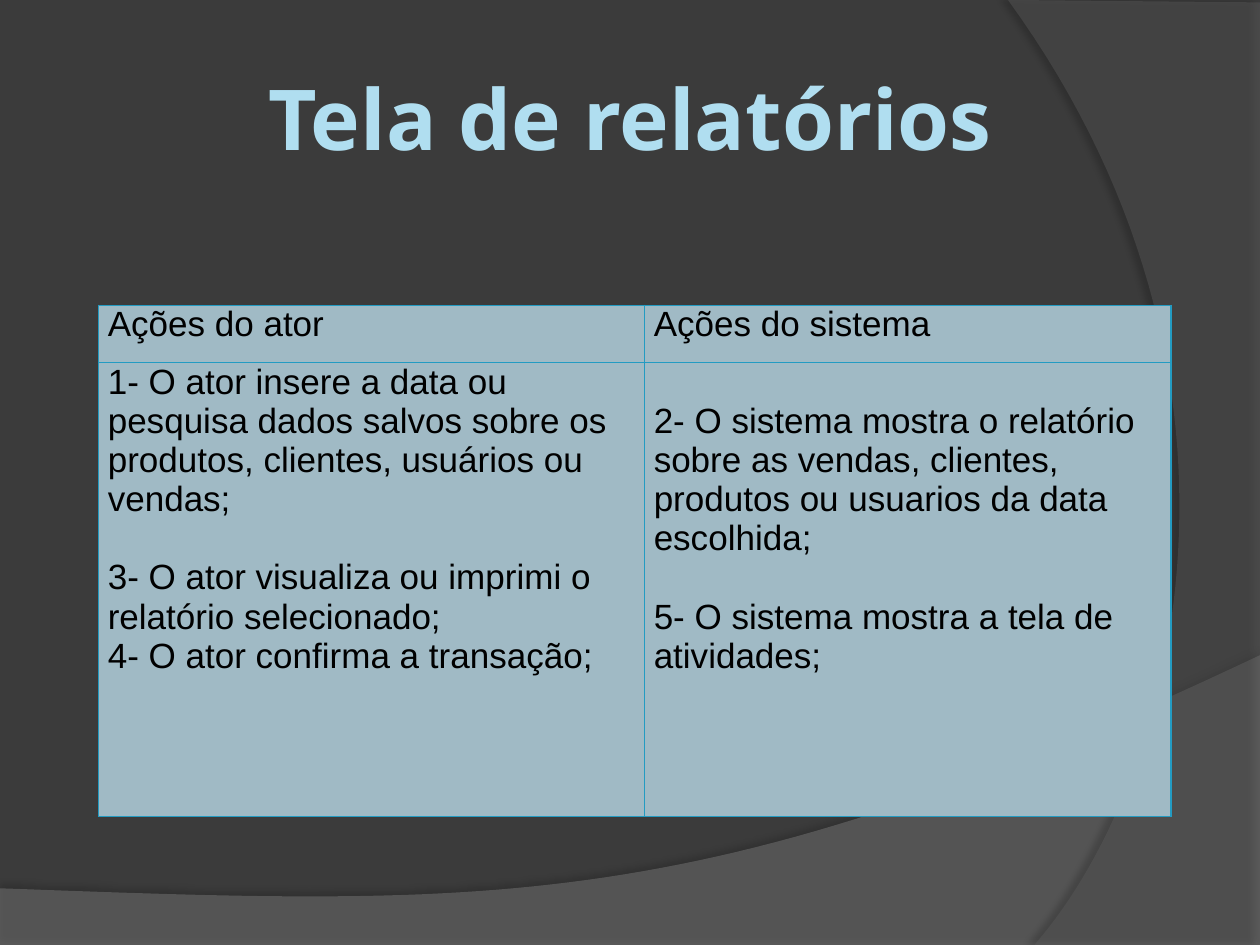
from lxml.etree import SubElement
from pptx import Presentation
from pptx.dml.color import RGBColor
from pptx.enum.text import MSO_ANCHOR, PP_ALIGN
from pptx.oxml.ns import qn
from pptx.util import Pt

# Content
TITLE = "Tela de relatórios"
HEADERS = ["Ações do ator", "Ações do sistema"]
# Each step: (text, follows a gap)
ACTOR_STEPS = [
    ("1- O ator insere a data ou pesquisa dados salvos sobre os produtos, "
     "clientes, usuários ou vendas;", False),
    ("3- O ator visualiza ou imprimi o relatório selecionado;", True),
    ("4- O ator confirma a transação;", False),
]
SYSTEM_STEPS = [
    ("2- O sistema mostra o relatório sobre as vendas, clientes, produtos ou "
     "usuarios da data escolhida;", True),
    ("5- O sistema mostra a tela de atividades;", True),
]
ROWS = [[[(header, False)] for header in HEADERS], [ACTOR_STEPS, SYSTEM_STEPS]]

# Look
BACKGROUND = RGBColor(0x3B, 0x3B, 0x3B)
BOTTOM_WAVE = RGBColor(0x7F, 0x7F, 0x7F)
RIGHT_WAVE = RGBColor(0x5E, 0x5E, 0x5E)
TITLE_BLUE = RGBColor(0xB0, 0xDE, 0xF0)
CELL_BLUE = RGBColor(0xA0, 0xBA, 0xC5)
BORDER_BLUE = RGBColor(0x23, 0x9B, 0xC2)
BLACK = RGBColor(0, 0, 0)

SLIDE_W, SLIDE_H = 720, 540
COLUMN_WIDTHS = [312, 301]
ROW_HEIGHTS = [33, 259]
STEP_GAP = 22.4

# Waves: corners before the curve, its two handles and end, corners after it,
# colour, opacity, shadow opacity, shadow distance, shadow angle
WAVES = [
    ([(0, 507.6), (0, 540.7), (720, 540.7), (720, 374.4)],
     [(402.5, 524.9), (281.5, 517.7), (0, 507.6)], [],
     BOTTOM_WAVE, 45, 35, 3.5, 270),
    ([(720, 1.4), (720, 540), (591.1, 540)],
     [(673.2, 445.7), (733, 216), (576, 0)], [(720, 1.4)],
     RIGHT_WAVE, 40, 45, 4, 180),
]


def curve_points(start, handles, steps=60):
    """Points along a cubic curve, without its start."""
    for step in range(1, steps + 1):
        t = step / steps
        weights = ((1 - t) ** 3, 3 * t * (1 - t) ** 2, 3 * t * t * (1 - t), t ** 3)
        yield tuple(sum(w * point[axis] for w, point in zip(weights, [start, *handles]))
                    for axis in (0, 1))


def add_alpha(color, percent):
    SubElement(color, qn("a:alpha"), val=str(percent * 1000))


def add_wave(slide, before, handles, after, color, opacity,
             shadow_opacity, distance, angle):
    outline = before + list(curve_points(before[-1], handles)) + after
    vertices = [(Pt(x), Pt(y)) for x, y in outline]
    builder = slide.shapes.build_freeform(*vertices[0])
    builder.add_line_segments(vertices[1:], close=True)
    wave = builder.convert_to_shape()
    wave.fill.solid()
    wave.fill.fore_color.rgb = color
    wave.line.fill.background()
    wave.shadow.inherit = False
    properties = wave._element.spPr
    add_alpha(properties.find(qn("a:solidFill")).find(qn("a:srgbClr")), opacity)
    shadow = SubElement(properties.find(qn("a:effectLst")), qn("a:outerShdw"),
                        blurRad=str(Pt(4)), dist=str(Pt(distance)),
                        dir=str(angle * 60000), algn="ctr", rotWithShape="0")
    add_alpha(SubElement(shadow, qn("a:srgbClr"), val=str(BLACK)), shadow_opacity)


def add_borders(cell):
    properties = cell._tc.get_or_add_tcPr()
    for position, side in enumerate(("lnL", "lnR", "lnT", "lnB")):
        border = SubElement(properties, qn(f"a:{side}"), w=str(Pt(0.75)))
        fill = SubElement(border, qn("a:solidFill"))
        SubElement(fill, qn("a:srgbClr"), val=str(BORDER_BLUE))
        properties.insert(position, border)


def fill_cell(cell, steps):
    cell.margin_left, cell.margin_right = Pt(5.4), Pt(5.4)
    # A gap ahead of the first step belongs to the cell margin
    cell.margin_top = Pt(STEP_GAP if steps[0][1] else 0)
    cell.margin_bottom = 0
    cell.fill.solid()
    cell.fill.fore_color.rgb = CELL_BLUE
    add_borders(cell)
    frame = cell.text_frame
    for index, (text, has_gap) in enumerate(steps):
        paragraph = frame.add_paragraph() if index else frame.paragraphs[0]
        paragraph.text = text
        paragraph.font.name = "Arial"
        paragraph.font.size = Pt(20)
        paragraph.font.bold = False
        paragraph.font.color.rgb = BLACK
        if index and has_gap:
            paragraph.space_before = Pt(STEP_GAP)


presentation = Presentation()
presentation.slide_width, presentation.slide_height = Pt(SLIDE_W), Pt(SLIDE_H)
slide = presentation.slides.add_slide(presentation.slide_layouts[5])
slide.background.fill.solid()
slide.background.fill.fore_color.rgb = BACKGROUND

# Background waves
for wave in WAVES:
    add_wave(slide, *wave)

# Title, in front of the waves
title = slide.shapes.title
slide.shapes._spTree.append(title._element)
title.left, title.top, title.width, title.height = 0, Pt(21.6), Pt(SLIDE_W), Pt(90)
title.text_frame.text = TITLE
title.text_frame.vertical_anchor = MSO_ANCHOR.MIDDLE
heading = title.text_frame.paragraphs[0]
heading.alignment = PP_ALIGN.CENTER
heading.font.name = "Noto Sans"
heading.font.size = Pt(48)
heading.font.bold = True
heading.font.color.rgb = TITLE_BLUE

# Table of actions
actions = slide.shapes.add_table(
    len(ROWS), len(HEADERS), Pt(56.2), Pt(174.4),
    Pt(sum(COLUMN_WIDTHS)), Pt(sum(ROW_HEIGHTS))).table
actions.first_row = actions.horz_banding = False
for column, width in zip(actions.columns, COLUMN_WIDTHS):
    column.width = Pt(width)
for row, height, contents in zip(actions.rows, ROW_HEIGHTS, ROWS):
    row.height = Pt(height)
    for cell, steps in zip(row.cells, contents):
        fill_cell(cell, steps)

presentation.save("out.pptx")
